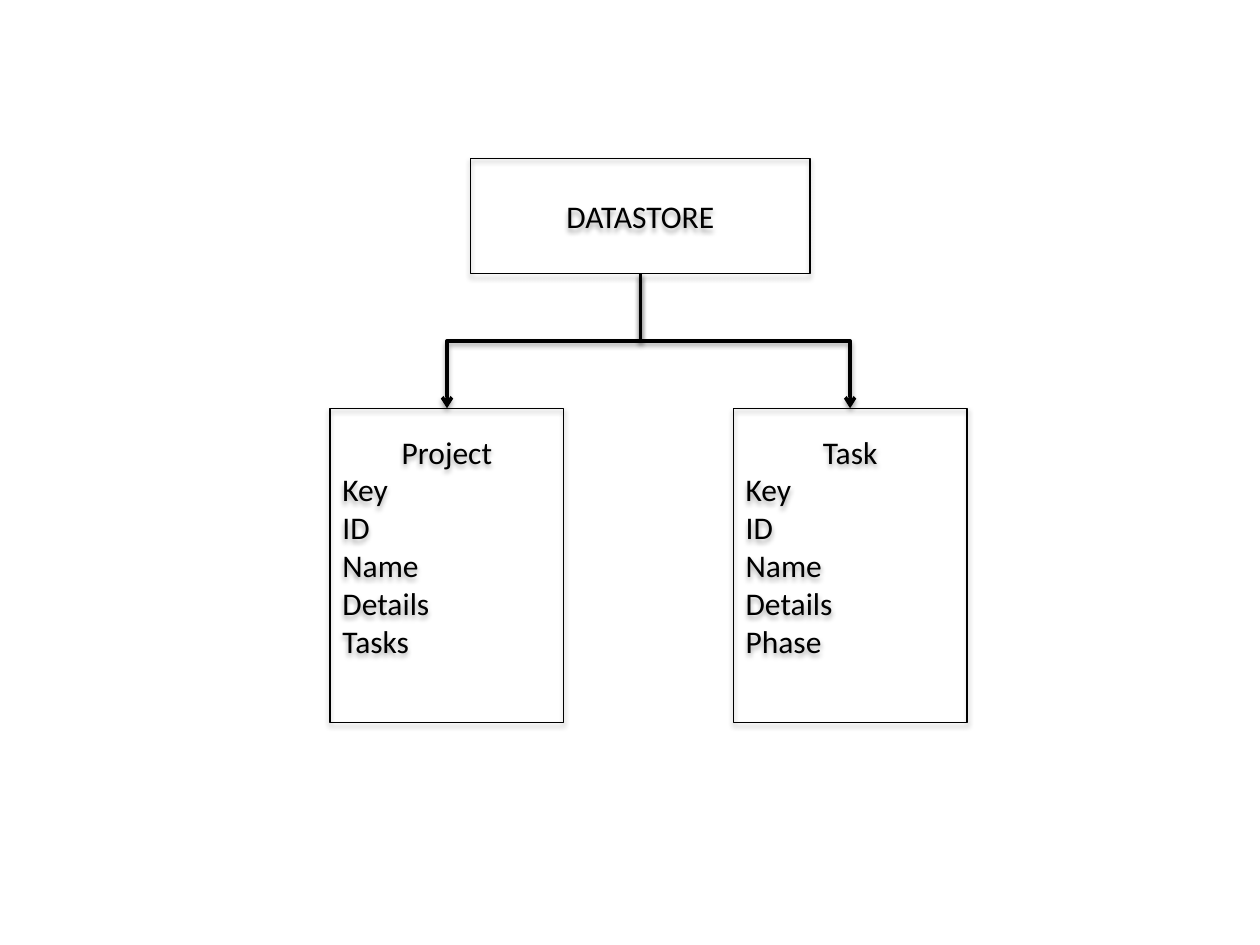
from pptx import Presentation
from pptx.dml.color import RGBColor
from pptx.enum.shapes import MSO_CONNECTOR, MSO_SHAPE
from pptx.enum.text import MSO_ANCHOR, PP_ALIGN
from pptx.oxml import parse_xml
from pptx.oxml.ns import nsdecls, qn
from pptx.util import Pt

RECTANGLE = MSO_SHAPE.RECTANGLE
ELBOW = MSO_CONNECTOR.ELBOW
MIDDLE = MSO_ANCHOR.MIDDLE
CENTER, LEFT = PP_ALIGN.CENTER, PP_ALIGN.LEFT
BLACK = "000000"
BOTTOM_SITE, TOP_SITE = 2, 0

ENTITY_TOP, ENTITY_WIDTH, ENTITY_HEIGHT = 233.3, 133.6, 179.4
STORE_LEFT, STORE_TOP, STORE_WIDTH, STORE_HEIGHT = 269, 90.6, 193.8, 65.9
INSET, TEXT_LINE = 3.6, 22


def color(hex_value):
    return RGBColor.from_string(hex_value)


def style_outline(item, width, opacity, distance):
    """Give a box or connector a black line and a soft shadow below it."""
    item.line.color.rgb = color(BLACK)
    item.line.width = Pt(width)
    item._element.spPr.append(parse_xml(
        f'<a:effectLst {nsdecls("a")}><a:outerShdw blurRad="{Pt(3.1)}" '
        f'dist="{Pt(distance)}" dir="5400000" rotWithShape="0">'
        f'<a:srgbClr val="{BLACK}"><a:alpha val="{opacity * 1000}"/></a:srgbClr>'
        '</a:outerShdw></a:effectLst>'))


deck = Presentation()
deck.slide_width, deck.slide_height = Pt(720), Pt(540)
page = deck.slides.add_slide(deck.slide_layouts[6])

# Boxes: left, top, width, height, bottom inset, heading, fields
entity_size = (ENTITY_TOP, ENTITY_WIDTH, ENTITY_HEIGHT, INSET + TEXT_LINE)
box_specs = [
    (STORE_LEFT, STORE_TOP, STORE_WIDTH, STORE_HEIGHT, INSET, "DATASTORE", []),
    (188.6, *entity_size, "Project", ["Key", "ID", "Name", "Details", "Tasks"]),
    (419, *entity_size, "Task", ["Key", "ID", "Name", "Details", "Phase"]),
]
boxes = []
for left, top, width, height, bottom_inset, heading, fields in box_specs:
    box = page.shapes.add_shape(RECTANGLE, Pt(left), Pt(top), Pt(width), Pt(height))
    box.fill.background()
    style_outline(box, 0.75, 35, 1.8)
    frame = box.text_frame
    frame_format = {"word_wrap": True, "vertical_anchor": MIDDLE,
                    "margin_bottom": Pt(bottom_inset)}
    for name, value in frame_format.items():
        setattr(frame, name, value)
    frame.text = "\n".join([heading, *fields])
    for index, para in enumerate(frame.paragraphs):
        para.alignment = LEFT if index else CENTER
        for span in para.runs:
            for name, value in {"name": "Calibri", "size": Pt(18)}.items():
                setattr(span.font, name, value)
            span.font.color.rgb = color(BLACK)
    boxes.append(box)

# Elbow arrows leave the store downwards, so each is a quarter turn of the
# usual horizontal elbow: its width is the drop and its height the sideways run.
store, *entities = boxes
start_x = store.left + store.width // 2
start_y = store.top + store.height
for entity in entities:
    end_x = entity.left + entity.width // 2
    drop, run = entity.top - start_y, abs(end_x - start_x)
    arrow = page.shapes.add_connector(ELBOW, start_x, start_y, end_x, entity.top)
    arrow.begin_connect(store, BOTTOM_SITE)
    arrow.end_connect(entity, TOP_SITE)
    geometry = {"left": (start_x + end_x - drop) // 2,
                "top": (start_y + entity.top - run) // 2,
                "width": drop, "height": run}
    for name, value in geometry.items():
        setattr(arrow, name, value)
    goes_right = end_x > start_x
    transform = arrow._element.spPr.find(qn("a:xfrm"))
    transform.set("rot", "16200000" if goes_right else "5400000")
    transform.set("flipH", "1" if goes_right else "0")
    style_outline(arrow, 2, 38, 1.6)
    arrow.line._get_or_add_ln().append(
        parse_xml(f'<a:tailEnd {nsdecls("a")} type="arrow"/>'))

deck.save("out.pptx")
